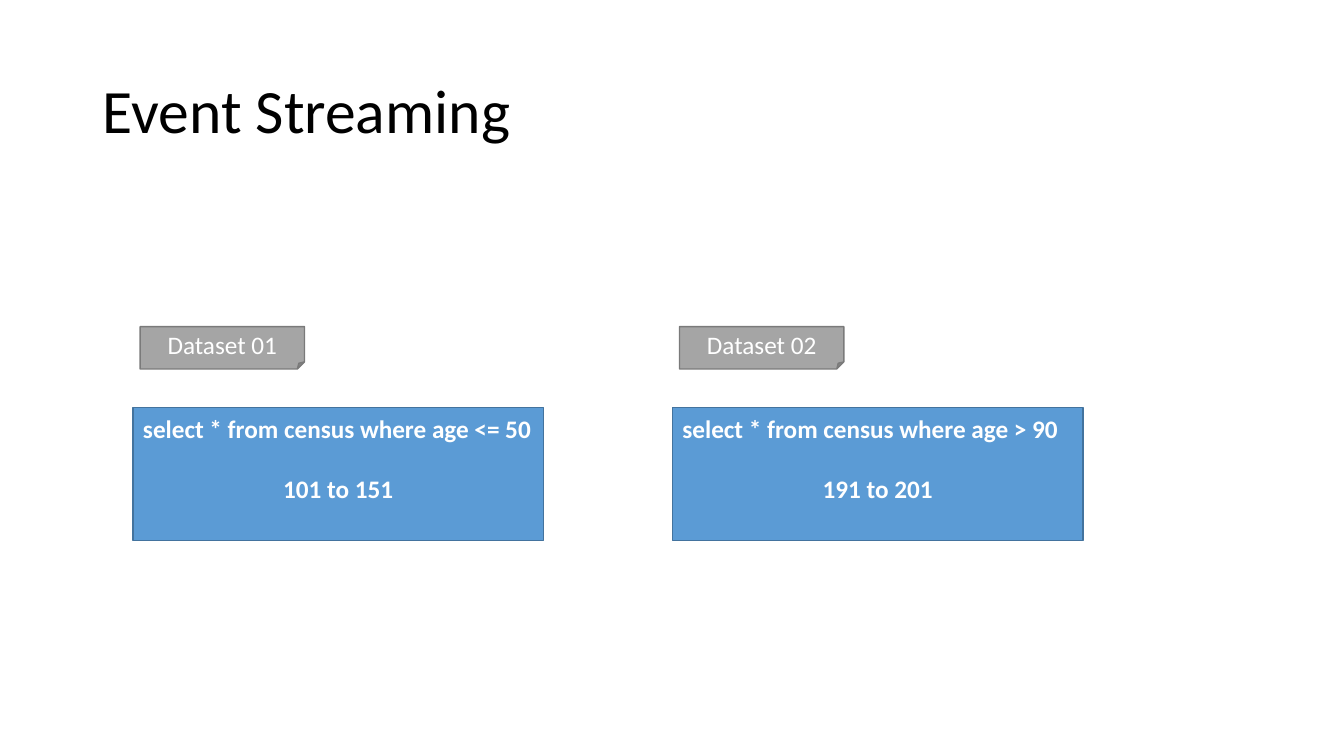
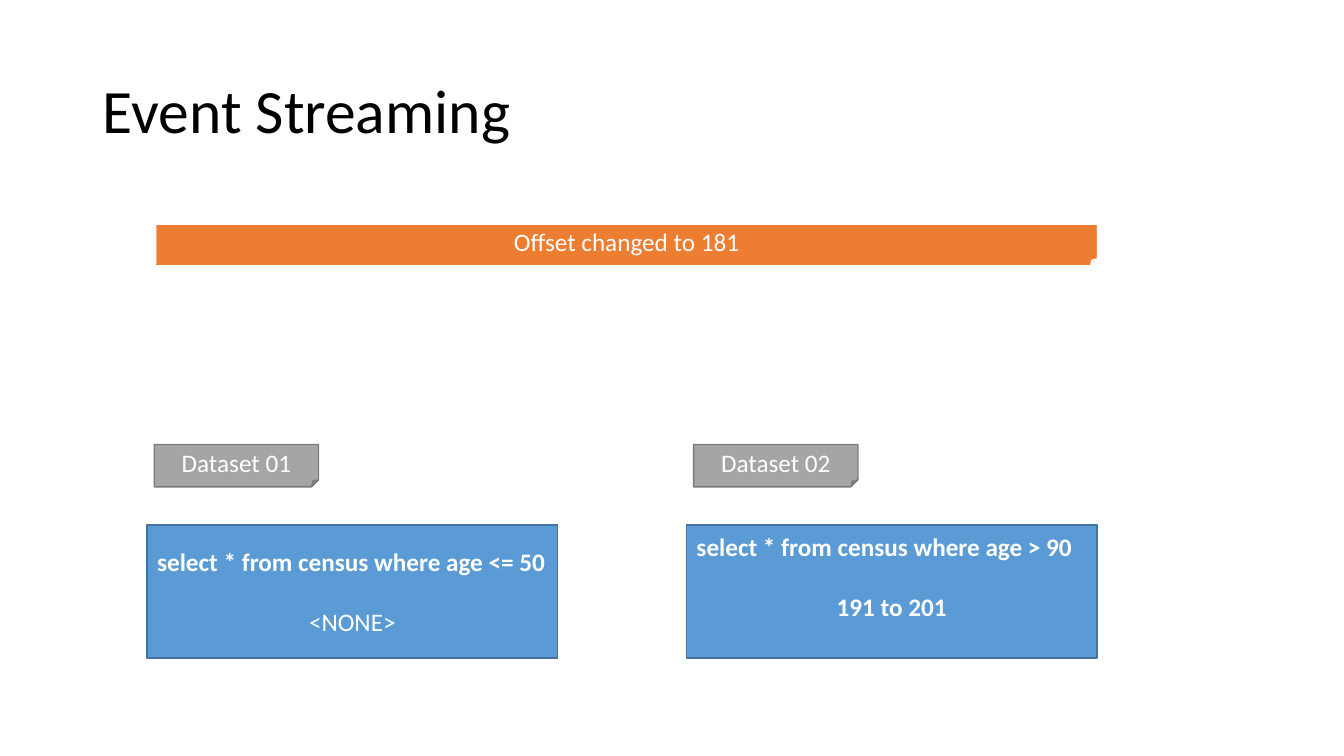
from pptx import Presentation
from pptx.dml.color import RGBColor
from pptx.enum.shapes import MSO_SHAPE
from pptx.enum.text import MSO_ANCHOR, PP_ALIGN
from pptx.util import Inches, Pt

BLACK = RGBColor(0x00, 0x00, 0x00)
WHITE = RGBColor(0xFF, 0xFF, 0xFF)
BLUE = RGBColor(0x5B, 0x9B, 0xD5)
DARK_BLUE = RGBColor(0x43, 0x73, 0x9E)
GRAY = RGBColor(0xA5, 0xA5, 0xA5)
DARK_GRAY = RGBColor(0x7A, 0x7A, 0x7A)
ORANGE = RGBColor(0xED, 0x7D, 0x31)
FONT = "Calibri"
LINE = 21.5  # height of one 18 pt line, in points
COLUMN_STEP = 5.35


def write(p, text, size=18, color=WHITE, bold=False, align=PP_ALIGN.CENTER, before=0):
    p.alignment = align
    p.space_before = Pt(before)
    r = p.add_run()
    r.text = text
    r.font.name = FONT
    r.font.size = Pt(size)
    r.font.bold = bold
    r.font.color.rgb = color


def add_box(slide, kind, left, top, width, height, fill, line, weight=1):
    sp = slide.shapes.add_shape(kind, Inches(left), Inches(top), Inches(width), Inches(height))
    sp.shadow.inherit = False
    sp.fill.solid()
    sp.fill.fore_color.rgb = fill
    sp.line.color.rgb = line
    sp.line.width = Pt(weight)
    tf = sp.text_frame
    tf.word_wrap = True
    tf.vertical_anchor = MSO_ANCHOR.MIDDLE
    return tf


prs = Presentation()
prs.slide_width, prs.slide_height = Inches(13.33), Inches(7.5)

# Query box origin, banner text, and (query, result) for each dataset
LOW_QUERY = "select * from census where age <= 50"
HIGH_QUERY = "select * from census where age > 90"
slides = [
    (1.32, 4.04, None, [(LOW_QUERY, "101 to 151"), (HIGH_QUERY, "191 to 201")]),
    (1.46, 5.21, "Offset changed to 181", [(LOW_QUERY, "<NONE>"), (HIGH_QUERY, "191 to 201")]),
]

for left, top, banner, datasets in slides:
    slide = prs.slides.add_slide(prs.slide_layouts[5])

    # Title
    title = slide.shapes.title
    title.left, title.top = Inches(0.92), Inches(0.4)
    title.width, title.height = Inches(11.5), Inches(1.45)
    tf = title.text_frame
    tf.vertical_anchor = MSO_ANCHOR.MIDDLE
    write(tf.paragraphs[0], "Event Streaming", size=44, color=BLACK, align=PP_ALIGN.LEFT)
    tf.paragraphs[0].line_spacing = 0.9

    # Datasets: query box with its label above
    for i, (query, result) in enumerate(datasets):
        x = left + i * COLUMN_STEP
        empty = result == "<NONE>"
        tf = add_box(slide, MSO_SHAPE.RECTANGLE, x, top, 4.07, 1.32, BLUE, DARK_BLUE)
        if not empty:
            tf.margin_bottom = Inches(0.35)
        write(tf.paragraphs[0], query, bold=True, align=PP_ALIGN.LEFT)
        write(tf.add_paragraph(), result, bold=not empty, before=LINE)

        tf = add_box(slide, MSO_SHAPE.FOLDED_CORNER, x + 0.07, top - 0.8, 1.63, 0.42,
                     GRAY, DARK_GRAY)
        write(tf.paragraphs[0], f"Dataset {i + 1:02d}")

    # Offset banner
    if banner:
        tf = add_box(slide, MSO_SHAPE.FOLDED_CORNER, 1.54, 2.22, 9.35, 0.42,
                     ORANGE, WHITE, weight=1.5)
        write(tf.paragraphs[0], banner)

prs.save("out.pptx")
